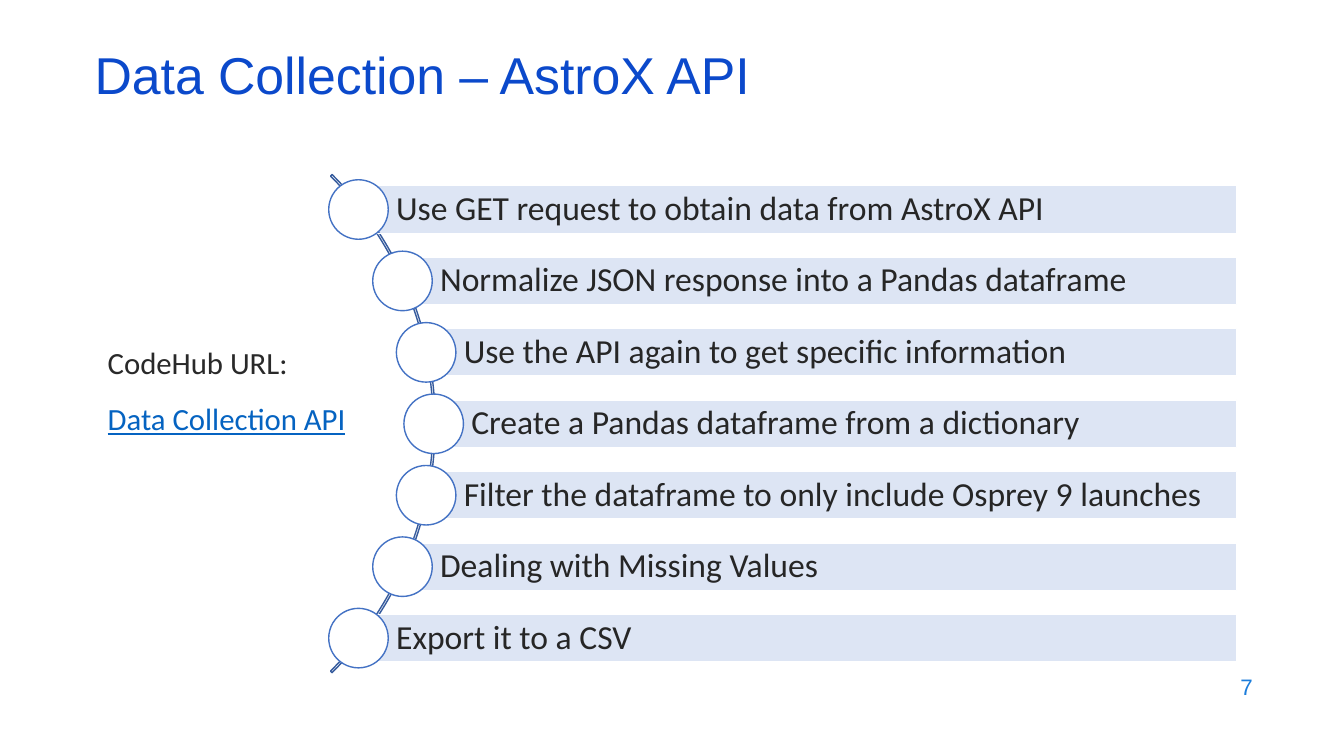
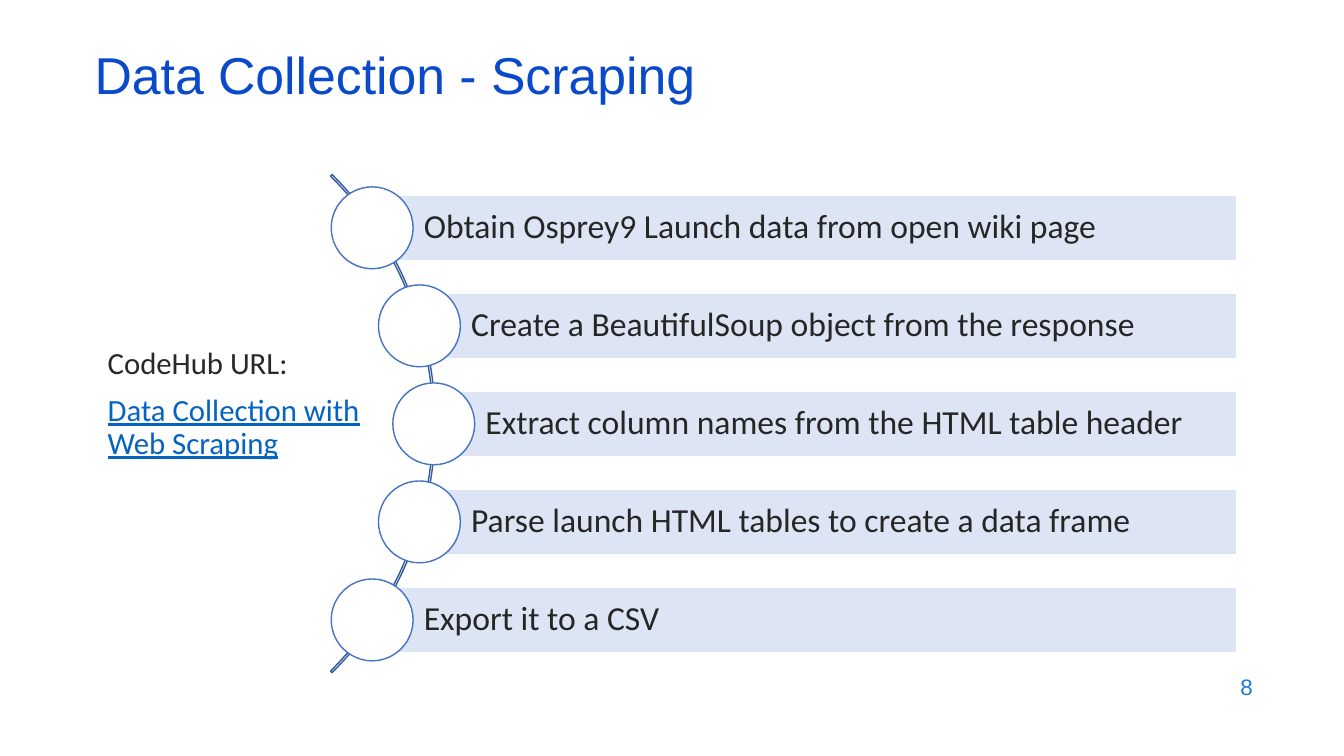
import dataclasses
import math
import typing

import pptx
import pptx.dml.color
import pptx.enum.shapes
import pptx.enum.text
import pptx.oxml.ns
import pptx.util
from lxml import etree

Cm = pptx.util.Cm
Pt = pptx.util.Pt
Shape = pptx.enum.shapes.MSO_SHAPE
Align = pptx.enum.text.PP_ALIGN
Anchor = pptx.enum.text.MSO_ANCHOR
Fit = pptx.enum.text.MSO_AUTO_SIZE
qn = pptx.oxml.ns.qn


class Style(typing.NamedTuple):
    font: str
    size: float
    color: str
    under: bool = False


@dataclasses.dataclass(frozen=True)
class Theme:
    title: Style = Style("Arial", 37, "0B49CB")
    page: Style = Style("Arial", 16, "1C7DDB")
    label: Style = Style("Calibri", 22, "292929")
    link: Style = Style("Calibri", 22, "0563C1", True)
    step: Style = Style("Calibri", 24, "262626")
    bar: str = "8FAADC"
    white: str = "FFFFFF"
    ring: str = "4472C4"
    arc: str = "365B9D"
    alpha: int = 30


class Box(typing.NamedTuple):
    left: float
    top: float
    width: float
    height: float


@dataclasses.dataclass(frozen=True)
class Page:
    number: int
    title: str
    link: str
    space: float
    lead: float
    pitch: float
    bar: float
    steps: tuple[str, ...]


THEME = Theme()
TITLE = Box(2.13, 1.3, 29.21, 1.52)
BODY = Box(2.46, 8.53, 7.09, 4.29)
FOOT = Box(24.2, 16.74, 7.62, 1.12)
ARC = Box(-6.78, 1.8, 17.75, 17.75)
MID = 10.68
HUB = 2.29
REACH = 8.64
RIGHT = 31.17
PAD = 0.18

PAGES = (
    Page(7, "Data Collection – AstroX API", "Data Collection API", 14, 1, 1.8, 1.2, (
        "Use GET request to obtain data from AstroX API",
        "Normalize JSON response into a Pandas dataframe",
        "Use the API again to get specific information",
        "Create a Pandas dataframe from a dictionary",
        "Filter the dataframe to only include Osprey 9 launches",
        "Dealing with Missing Values",
        "Export it to a CSV",
    )),
    Page(8, "Data Collection - Scraping", "Data Collection with Web Scraping", 10, 0.9, 2.47, 1.65, (
        "Obtain Osprey9 Launch data from open wiki page",
        "Create a BeautifulSoup object from the response",
        "Extract column names from the HTML table header",
        "Parse launch HTML tables to create a data frame",
        "Export it to a CSV",
    )),
)


def apply(item: typing.Any, form: dict[str, typing.Any]) -> None:
    for name, value in form.items():
        setattr(item, name, value)


def rgb(code: str) -> pptx.dml.color.RGBColor:
    return pptx.dml.color.RGBColor.from_string(code)


def place(shape: typing.Any, box: Box) -> None:
    apply(shape, {name: Cm(value) for name, value in box._asdict().items()})


def write(para: typing.Any, text: str, style: Style, **form: typing.Any) -> None:
    run = para.add_run()
    run.text = text
    apply(run.font, {"name": style.font, "size": Pt(style.size), "bold": False,
                     "underline": style.under})
    run.font.color.rgb = rgb(style.color)
    apply(para, {"alignment": Align.LEFT, "space_before": Pt(0), **form})


def frame(shape: typing.Any, **form: typing.Any) -> typing.Any:
    apply(shape.text_frame, {"word_wrap": True, "auto_size": Fit.NONE,
                             "vertical_anchor": Anchor.MIDDLE, **form})
    return shape.text_frame


def plain(para: typing.Any) -> None:
    props = para._p.get_or_add_pPr()
    apply_zero = {"marL": "0", "indent": "0"}
    for name, value in apply_zero.items():
        props.set(name, value)
    etree.SubElement(props, qn("a:buNone"))


def draw(slide: typing.Any, kind: Shape, box: Box, line: str,
         fill: str | None = None) -> typing.Any:
    shape = slide.shapes.add_shape(kind, *map(Cm, box))
    shape.shadow.inherit = False
    if fill:
        shape.fill.solid()
        shape.fill.fore_color.rgb = rgb(fill)
    else:
        shape.fill.background()
    shape.line.color.rgb = rgb(line)
    shape.line.width = Pt(1)
    return shape


def fade(shape: typing.Any, share: int) -> None:
    color = shape._element.spPr.find(qn("a:solidFill"))[0]
    etree.SubElement(color, qn("a:alpha")).set("val", str(share * 1000))


def heads(slide: typing.Any, page: Page) -> None:
    title, body = slide.shapes.title, slide.placeholders[1]
    place(title, TITLE)
    write(frame(title).paragraphs[0], page.title, THEME.title, line_spacing=0.7)

    place(body, BODY)
    text = frame(body, vertical_anchor=Anchor.TOP)
    first, link = text.paragraphs[0], text.add_paragraph()
    plain(first)
    plain(link)
    write(first, "CodeHub URL:", THEME.label)
    write(link, page.link, THEME.link, space_before=Pt(page.space), line_spacing=page.lead)

    foot = slide.shapes.add_textbox(*map(Cm, FOOT))
    write(frame(foot).paragraphs[0], str(page.number), THEME.page, alignment=Align.RIGHT)


def chain(slide: typing.Any, page: Page) -> None:
    arc = draw(slide, Shape.BLOCK_ARC, ARC, THEME.arc)
    for index, value in enumerate((189, 27, 0.0031)):
        arc.adjustments[index] = value

    size = page.bar * 1.25
    for index, step in enumerate(page.steps):
        drop = (index - (len(page.steps) - 1) / 2) * page.pitch
        left = HUB + math.sqrt(REACH ** 2 - drop ** 2)
        mid = MID + drop
        bar = draw(slide, Shape.RECTANGLE,
                   Box(left, mid - page.bar / 2, RIGHT - left, page.bar),
                   THEME.white, THEME.bar)
        fade(bar, THEME.alpha)
        text = frame(bar, margin_left=Cm(page.bar * 0.79), margin_right=Cm(PAD),
                     margin_top=Cm(PAD), margin_bottom=Cm(PAD))
        write(text.paragraphs[0], step, THEME.step, line_spacing=0.9)
        draw(slide, Shape.OVAL, Box(left - size / 2, mid - size / 2, size, size),
             THEME.ring, THEME.white)


def main() -> None:
    deck = pptx.Presentation()
    apply(deck, {"slide_width": Cm(33.87), "slide_height": Cm(19.05)})
    for page in PAGES:
        slide = deck.slides.add_slide(deck.slide_layouts[1])
        heads(slide, page)
        chain(slide, page)
    deck.save("out.pptx")


if __name__ == "__main__":
    main()
